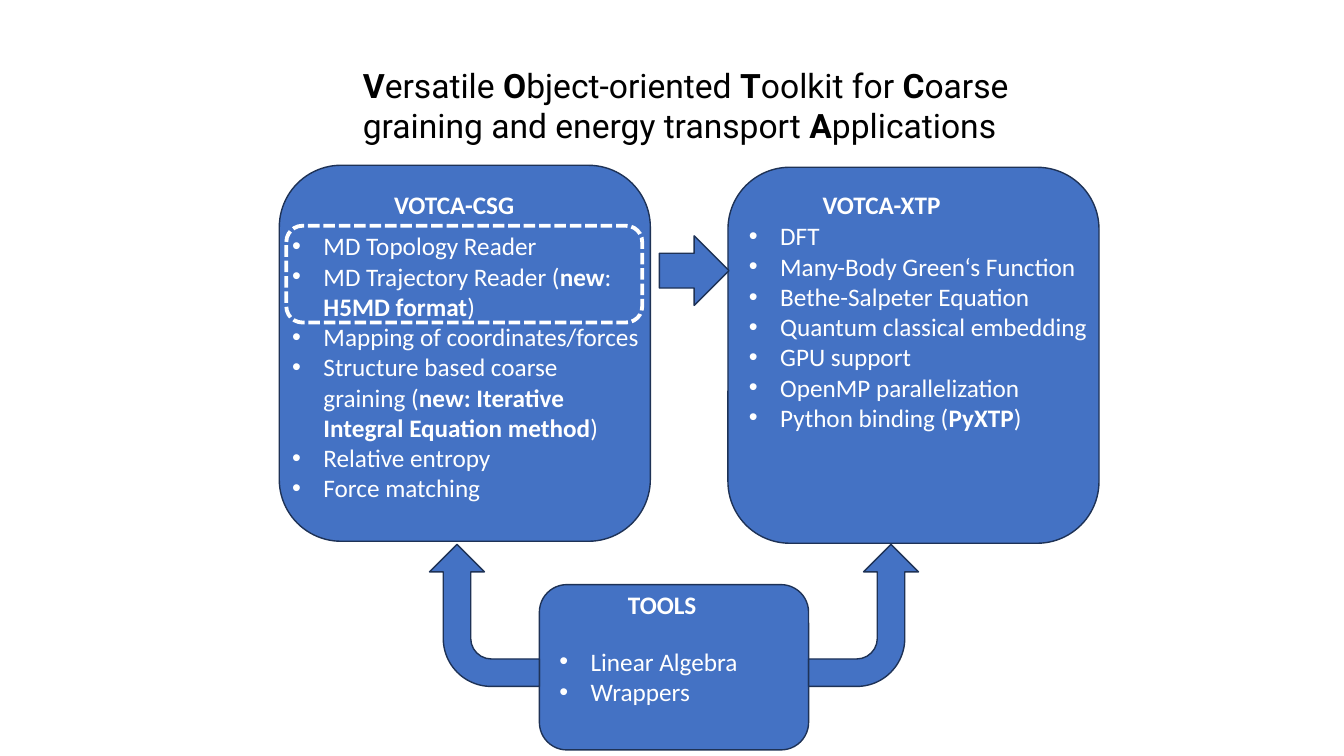
import pptx
import pptx.util
import pptx.dml.color
import pptx.enum.dml
import pptx.enum.shapes
import pptx.enum.text
from lxml import etree

PX = 9144  # 100 px to the inch
INDENT = 31
COLORS = {"fill": "4472C4", "edge": "1E3256", "light": "FFFFFF", "dark": "000000"}
KIND = pptx.enum.shapes.MSO_SHAPE

deck = pptx.Presentation()
deck.slide_width, deck.slide_height = 1333 * PX, 750 * PX
slide = deck.slides.add_slide(deck.slide_layouts[6])


def draw(kind, place, line="edge", width=1, fill="fill"):
    shape = slide.shapes.add_shape(kind, *[n * PX for n in place])
    shape.shadow.inherit = False
    if fill:
        shape.fill.solid()
        shape.fill.fore_color.rgb = pptx.dml.color.RGBColor.from_string(COLORS[fill])
    else:
        shape.fill.background()
    shape.line.color.rgb = pptx.dml.color.RGBColor.from_string(COLORS[line])
    shape.line.width = pptx.util.Pt(width)
    return shape


def write(place, lines, face="Calibri", size=18, color="light", bullet=False):
    """Add a text box; parts between asterisks are bold."""
    box = slide.shapes.add_textbox(*[n * PX for n in place])
    frame = box.text_frame
    frame.word_wrap = True
    frame.auto_size = pptx.enum.text.MSO_AUTO_SIZE.SHAPE_TO_FIT_TEXT
    for i, line in enumerate(lines):
        para = frame.add_paragraph() if i else frame.paragraphs[0]
        if bullet:
            props = para._p.get_or_add_pPr()
            props.set("marL", str(INDENT * PX))
            props.set("indent", str(-INDENT * PX))
            for tag, key, value in (("buFont", "typeface", "Arial"), ("buChar", "char", "•")):
                etree.SubElement(props, pptx.oxml.ns.qn("a:" + tag)).set(key, value)
        para.font.name = face
        para.font.size = pptx.util.Pt(size)
        para.font.color.rgb = pptx.dml.color.RGBColor.from_string(COLORS[color])
        for j, part in enumerate(line.split("*")):
            if part:
                run = para.add_run()
                run.text = part
                run.font.bold = j % 2 == 1


write((350, 59, 667, 91),
      ["*V*ersatile *O*bject-oriented *T*oolkit for *C*oarse graining "
       "and energy transport *A*pplications"],
      face="Roboto", size=24, color="dark")

# Each block: box, heading place, heading, list place, list
blocks = [
    ((535, 580, 267, 164), (613, 580, 109, 40), "TOOLS",
     (545, 636, 239, 71), ["Linear Algebra", "Wrappers"]),
    ((277, 164, 368, 373), (381, 183, 154, 40), "VOTCA-CSG",
     (280, 224, 368, 283),
     ["MD Topology Reader",
      "MD Trajectory Reader (*new*: *H5MD format*)",
      "Mapping of coordinates/forces",
      "Structure based coarse graining (*new: Iterative Integral Equation method*)",
      "Relative entropy",
      "Force matching"]),
    ((722, 166, 368, 373), (806, 183, 154, 40), "VOTCA-XTP",
     (733, 214, 368, 222),
     ["DFT",
      "Many-Body Green‘s Function",
      "Bethe-Salpeter Equation",
      "Quantum classical embedding",
      "GPU support",
      "OpenMP parallelization",
      "Python binding (*PyXTP*)"]),
]
for box, top, name, body, items in blocks:
    draw(KIND.ROUNDED_RECTANGLE, box)
    write(top, [f"*{name}*"])
    write(body, items, bullet=True)

frame = draw(KIND.ROUNDED_RECTANGLE, (284, 224, 353, 96), "light", 2.75, None)
frame.line.dash_style = pptx.enum.dml.MSO_LINE.SQUARE_DOT

arrows = [
    (KIND.BENT_ARROW, (410, 556, 141, 109), 270, False),
    (KIND.BENT_ARROW, (786, 556, 141, 109), 90, True),
    (KIND.DOWN_ARROW, (654, 234, 69, 69), 270, False),
]
for kind, place, turn, flip in arrows:
    arrow = draw(kind, place)
    arrow.rotation = turn
    if flip:
        arrow._element.spPr.xfrm.set("flipH", "1")

deck.save("out.pptx")
